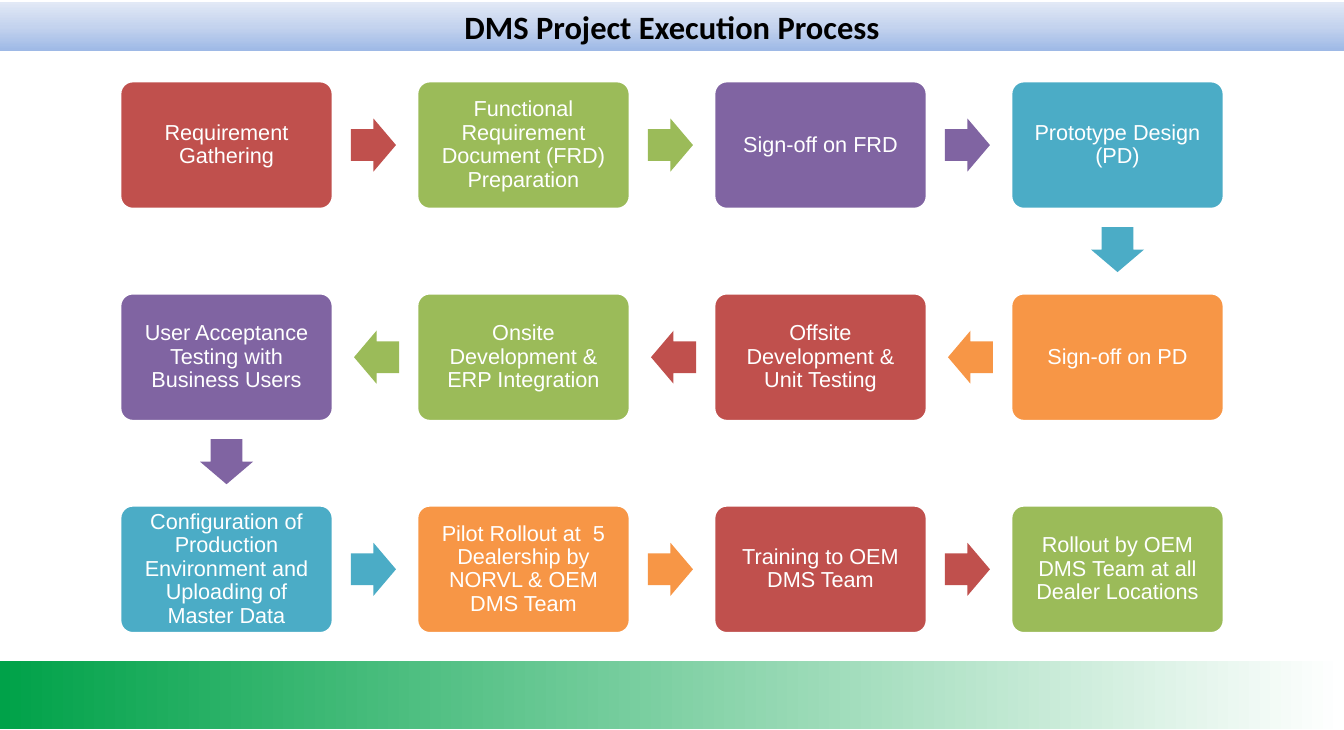
from copy import deepcopy

from pptx import Presentation
from pptx.dml.color import RGBColor
from pptx.enum.shapes import MSO_SHAPE as Preset
from pptx.enum.text import MSO_ANCHOR as Anchor, PP_ALIGN as Align
from pptx.oxml.ns import qn
from pptx.util import Cm, Pt

TITLE = "DMS Project Execution Process"
STEPS = [
    ("Requirement Gathering", "red"),
    ("Functional Requirement Document (FRD) Preparation", "green"),
    ("Sign-off on FRD", "purple"),
    ("Prototype Design (PD)", "teal"),
    ("Sign-off on PD", "orange"),
    ("Offsite Development & Unit Testing", "red"),
    ("Onsite Development & ERP Integration", "green"),
    ("User Acceptance Testing with Business Users", "purple"),
    ("Configuration of Production Environment and Uploading of Master Data", "teal"),
    ("Pilot Rollout at  5 Dealership by NORVL & OEM DMS Team", "orange"),
    ("Training to OEM DMS Team", "red"),
    ("Rollout by OEM DMS Team at all Dealer Locations", "green"),
]

THEME = {
    "red": "C0504D",
    "green": "9BBB59",
    "purple": "8064A2",
    "teal": "4BACC6",
    "orange": "F79646",
    "outline": "FFFFFF",
    "outline_width": Pt(2),
    "title_stops": [(0, "9EB9E6"), (0.5, "C4D3EE"), (1, "E2E9F6")],
    "footer_stops": [(0, "00A249"), (1, "FFFFFF")],
    "title_font": {"name": "Calibri", "size": Pt(24), "bold": True, "color": "000000"},
    "step_font": {"name": "Arial", "size": Pt(16), "bold": False, "color": "FFFFFF"},
}

PAGE_SIZE = {"slide_width": Cm(35), "slide_height": Cm(19)}
EMU_PER_PX = 9375
PAGE_W = 1344
TITLE_TOP, TITLE_H = 2, 49
FOOTER_TOP, FOOTER_H = 661, 68
COLUMNS = 4
GRID_LEFT, GRID_TOP = 120, 81
PITCH_X, PITCH_Y = 297, 212
BOX_W, BOX_H = 213, 128
ARROW_W, ARROW_H, ARROW_GAP = 45, 53, 18
BOX_INSET, TITLE_INSET = 11, 5
ROTATIONS = {(1, 0): 0, (0, 1): 90, (-1, 0): 180}


def px(length):
    """Turn px into EMU; the page is 1344 px wide."""
    return round(length * EMU_PER_PX)


def rgb(value):
    return RGBColor.from_string(value)


def add_preset(slide, preset, left, top, width, height, color=None):
    shape = slide.shapes.add_shape(preset, px(left), px(top), px(width), px(height))
    shape.shadow.inherit = False
    shape.line.fill.background()
    if color:
        shape.fill.solid()
        shape.fill.fore_color.rgb = rgb(color)
    return shape


def fill_gradient(shape, stops, angle):
    shape.fill.gradient()
    shape.fill.gradient_angle = angle
    stop_list = next(shape._element.iter(qn("a:gsLst")))
    while len(stop_list) < len(stops):
        stop_list.append(deepcopy(stop_list[0]))
    for stop, (position, color) in zip(shape.fill.gradient_stops, stops):
        stop.position = position
        stop.color.rgb = rgb(color)


def write_text(shape, text, font, inset, line_spacing):
    frame = shape.text_frame
    frame_format = {"word_wrap": True, "vertical_anchor": Anchor.MIDDLE}
    for side in ("left", "top", "right", "bottom"):
        frame_format[f"margin_{side}"] = px(inset)
    for name, value in frame_format.items():
        setattr(frame, name, value)
    paragraph = frame.paragraphs[0]
    paragraph.alignment = Align.CENTER
    paragraph.line_spacing = line_spacing
    run = paragraph.add_run()
    run.text = text
    for name in ("name", "size", "bold"):
        setattr(run.font, name, font[name])
    run.font.color.rgb = rgb(font["color"])


def grid_cell(index):
    """Column and row of a step; every second row runs right to left."""
    row, column = divmod(index, COLUMNS)
    return (COLUMNS - 1 - column if row % 2 else column), row


def add_step(slide, index, text, color):
    """Draw a step's box and return its centre."""
    column, row = grid_cell(index)
    left, top = GRID_LEFT + column * PITCH_X, GRID_TOP + row * PITCH_Y
    box = add_preset(slide, Preset.ROUNDED_RECTANGLE, left, top, BOX_W, BOX_H, color)
    box.adjustments[0] = 0.1
    box.line.color.rgb = rgb(THEME["outline"])
    box.line.width = THEME["outline_width"]
    write_text(box, text, THEME["step_font"], BOX_INSET, 0.9)
    return left + BOX_W / 2, top + BOX_H / 2


def add_arrow(slide, index, center_x, center_y, color):
    """Point from one step's box towards the next."""
    column, row = grid_cell(index)
    next_column, next_row = grid_cell(index + 1)
    across, down = next_column - column, next_row - row
    reach = ARROW_GAP + ARROW_W / 2
    left = center_x + across * (BOX_W / 2 + reach) - ARROW_W / 2
    top = center_y + down * (BOX_H / 2 + reach) - ARROW_H / 2
    arrow = add_preset(slide, Preset.RIGHT_ARROW, left, top, ARROW_W, ARROW_H, color)
    arrow.adjustments[0] = 0.6
    arrow.adjustments[1] = 0.5
    arrow.rotation = ROTATIONS[across, down]


def main():
    presentation = Presentation()
    for name, value in PAGE_SIZE.items():
        setattr(presentation, name, value)
    slide = presentation.slides.add_slide(presentation.slide_layouts[6])

    footer = add_preset(slide, Preset.RECTANGLE, 0, FOOTER_TOP, PAGE_W, FOOTER_H)
    fill_gradient(footer, THEME["footer_stops"], 0)
    title = add_preset(slide, Preset.RECTANGLE, 0, TITLE_TOP, PAGE_W, TITLE_H)
    fill_gradient(title, THEME["title_stops"], 90)
    write_text(title, TITLE, THEME["title_font"], TITLE_INSET, 1.0)

    for index, (text, color_name) in enumerate(STEPS):
        color = THEME[color_name]
        center_x, center_y = add_step(slide, index, text, color)
        if index + 1 < len(STEPS):
            add_arrow(slide, index, center_x, center_y, color)

    presentation.save("out.pptx")


if __name__ == "__main__":
    main()
